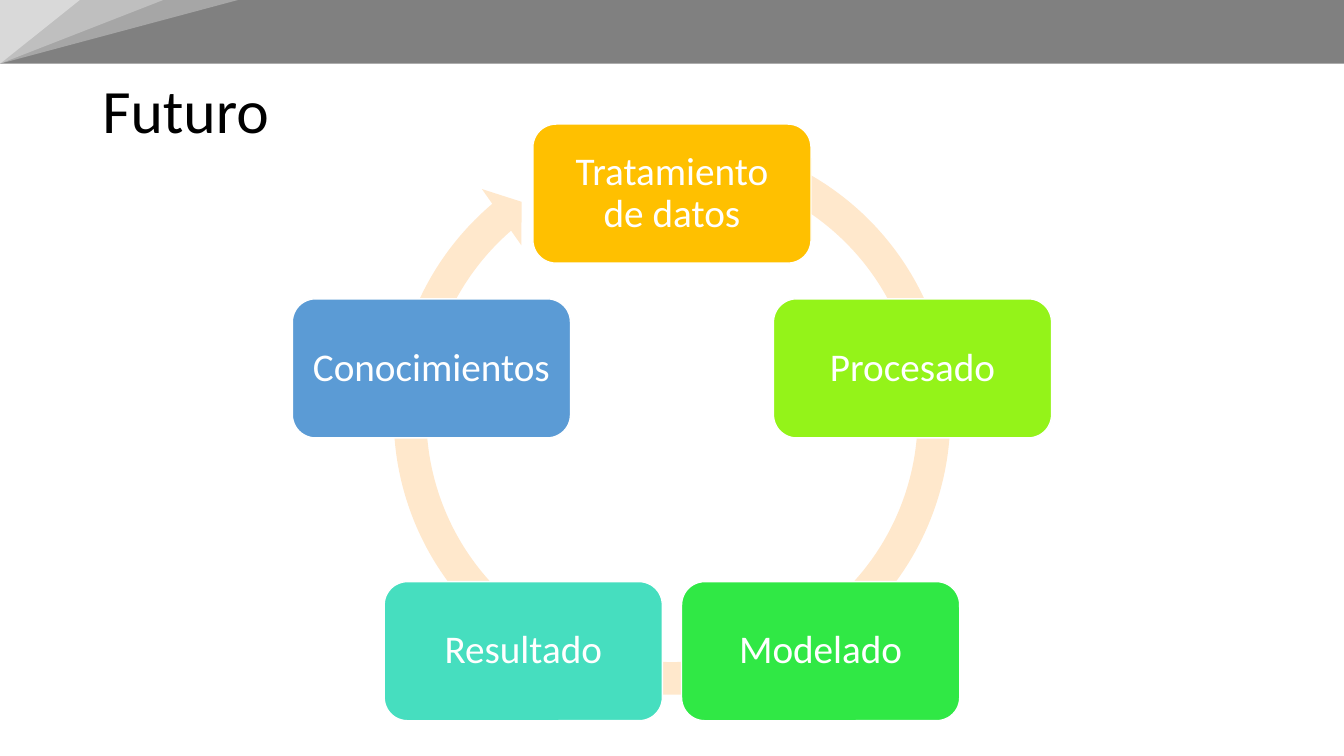
from dataclasses import dataclass
from math import cos, pi, sin

from pptx import Presentation
from pptx.dml.color import RGBColor
from pptx.enum.shapes import MSO_SHAPE as Shape
from pptx.enum.text import MSO_ANCHOR as Anchor, PP_ALIGN as Align
from pptx.util import Pt


@dataclass(frozen=True)
class Theme:
    font: str = "Calibri"
    title_size: float = 44
    step_size: float = 28
    title_color: str = "000000"
    white: str = "FFFFFF"
    band: str = "808080"
    rays: tuple = ("A6A6A6", "BFBFBF", "D9D9D9")
    arrow: str = "FFE8CC"
    steps: tuple = ("FFC000", "94F319", "30E845", "46DEBF", "5B9BD5")


THEME = Theme()
SLIDE_W, SLIDE_H = 960, 540
STEPS = ("Tratamiento de datos", "Procesado", "Modelado", "Resultado", "Conocimientos")


def add_filled(slide, kind, box, color, adjustments=()):
    """Add a flat preset shape in the given box (left, top, width, height)."""
    shape = slide.shapes.add_shape(kind, *map(Pt, box))
    shape.shadow.inherit = False
    shape.fill.solid()
    shape.fill.fore_color.rgb = RGBColor.from_string(color)
    shape.line.fill.background()
    for index, value in enumerate(adjustments):
        shape.adjustments[index] = value
    return shape


def write(shape, text, size, color, align, inset_x, inset_y):
    frame = shape.text_frame
    frame_format = {
        "word_wrap": True,
        "vertical_anchor": Anchor.MIDDLE,
        "margin_left": Pt(inset_x),
        "margin_right": Pt(inset_x),
        "margin_top": Pt(inset_y),
        "margin_bottom": Pt(inset_y),
    }
    for name, value in frame_format.items():
        setattr(frame, name, value)
    paragraph = frame.paragraphs[0]
    paragraph.alignment, paragraph.line_spacing = align, 0.9
    run = paragraph.add_run()
    run.text = text
    run.font.name, run.font.size = THEME.font, Pt(size)
    run.font.color.rgb = RGBColor.from_string(color)


def add_header(slide, box):
    """Grey band with three rays that fan out from its lower left corner."""
    left, top, width, height = box
    add_filled(slide, Shape.RECTANGLE, box, THEME.band)
    for ray_width, color in zip((170, 116.6, 57), THEME.rays):
        ray_box = (left, top, ray_width, height)
        ray = add_filled(slide, Shape.ISOSCELES_TRIANGLE, ray_box, color, [1])
        ray.rotation = 180


def add_title(slide, box, text):
    title = slide.shapes.add_textbox(*map(Pt, box))
    write(title, text, THEME.title_size, THEME.title_color, Align.LEFT, 7.2, 3.6)


def add_cycle(slide, box, steps):
    """Steps clockwise from the top on a circle, over one circular arrow."""
    left, top, width, height = box
    step_w, step_h = 198.7, 99.35
    center_x = left + width / 2
    # The lowest steps sit at cos(36°) of the radius below the center
    radius = (height - step_h) / (1 + cos(pi / len(steps)))
    center_y = top + step_h / 2 + radius

    # Arrow behind the steps, slightly above their common center
    size = 423.4
    arrow_box = (center_x - size / 2, top - 2.9, size, size)
    add_filled(slide, Shape.CIRCULAR_ARROW, arrow_box, THEME.arrow,
               (0.055, 3.307, 137.676, 173.91, 0.058))

    # Step boxes at equal angles
    for index, (label, color) in enumerate(zip(steps, THEME.steps)):
        angle = 2 * pi * index / len(steps)
        step_box = (center_x + radius * sin(angle) - step_w / 2,
                    center_y - radius * cos(angle) - step_h / 2, step_w, step_h)
        step = add_filled(slide, Shape.ROUNDED_RECTANGLE, step_box, color)
        step.line.color.rgb = RGBColor.from_string(THEME.white)
        step.line.width = Pt(1)
        write(step, label, THEME.step_size, THEME.white, Align.CENTER, 8.4, 8.4)


def main():
    deck = Presentation()
    deck.slide_width, deck.slide_height = Pt(SLIDE_W), Pt(SLIDE_H)
    slide = deck.slides.add_slide(deck.slide_layouts[6])
    add_header(slide, (0, 0, SLIDE_W, 45.5))
    add_title(slide, (66, 28.75, 828, 104.4), "Futuro")
    add_cycle(slide, (208.8, 88.6, 542.4, 426.2), STEPS)
    deck.save("out.pptx")


if __name__ == "__main__":
    main()
